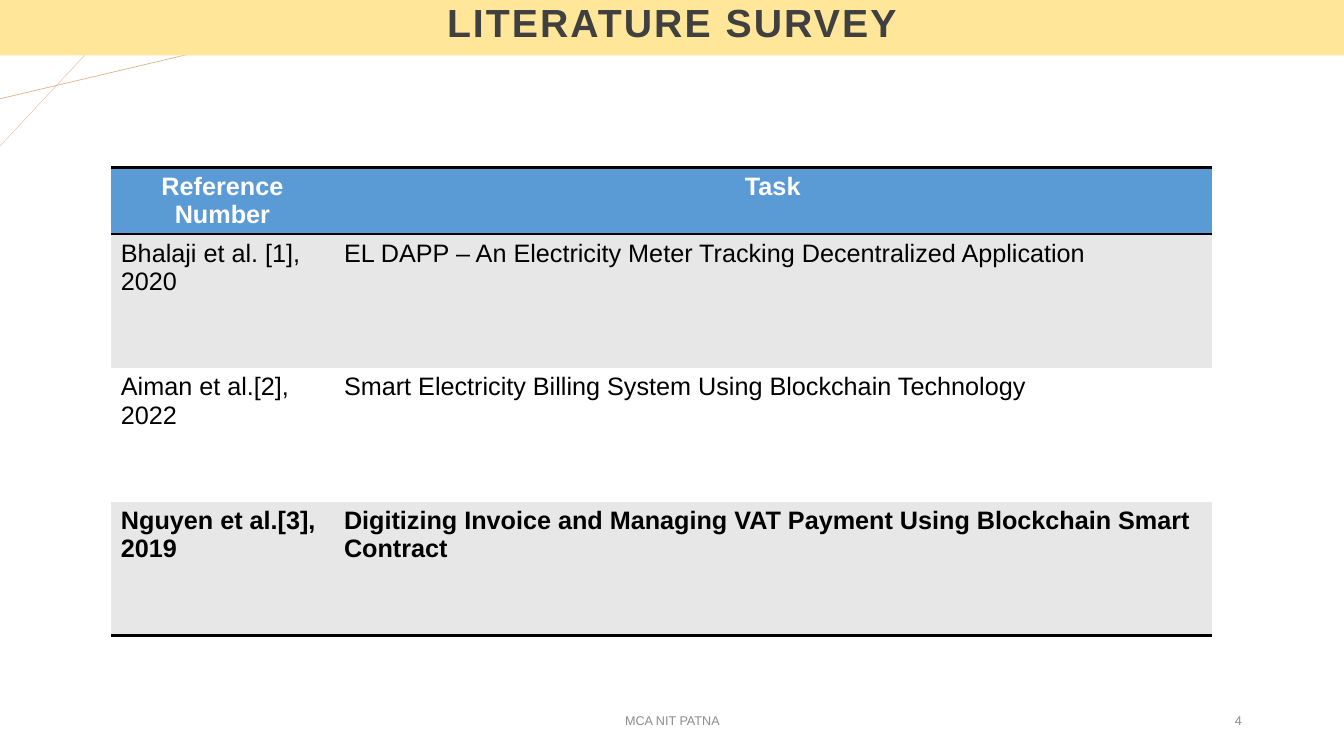
from lxml.etree import SubElement
from pptx import Presentation
from pptx.dml.color import RGBColor
from pptx.enum.shapes import MSO_CONNECTOR as CONN, MSO_SHAPE as SHAPE
from pptx.enum.text import MSO_ANCHOR as ANCHOR, PP_ALIGN as ALIGN
from pptx.oxml import parse_xml
from pptx.oxml.ns import nsdecls, qn
from pptx.util import Inches, Pt

COLORS = {"band": "FFE699", "title": "404040", "accent": "E2B18D",
          "head": "5B9BD5", "stripe": "E7E7E7", "white": "FFFFFF",
          "black": "000000", "muted": "8C8C8C"}
FONT = "Arial"
PLAIN_TABLE = "{2D5ABB26-0587-4C30-8999-92F81FD0307C}"


def rgb(name):
    return RGBColor.from_string(COLORS[name])


def write(tf, text, size=18, color="black", bold=False, align=ALIGN.LEFT,
          anchor=ANCHOR.TOP, spacing=None, track=None):
    """Fill a text frame, one paragraph per line of text."""
    tf.word_wrap = True
    tf.vertical_anchor = anchor
    for i, line in enumerate(text.split("\n")):
        p = tf.add_paragraph() if i else tf.paragraphs[0]
        p.alignment = align
        if spacing:
            p.line_spacing = spacing
        r = p.add_run()
        r.text = line
        r.font.name, r.font.size, r.font.bold = FONT, Pt(size), bold
        r.font.color.rgb = rgb(color)
        if track:
            r.font._element.set("spc", str(int(track * 100)))


class SlideBuilder:
    """Places elements by percentages of the slide's width and height."""

    def __init__(self, prs):
        self.w, self.h = prs.slide_width, prs.slide_height
        self.s = prs.slides.add_slide(prs.slide_layouts[6])

    def x(self, share):
        return int(self.w * share / 100)

    def y(self, share):
        return int(self.h * share / 100)

    def box(self, left, top, width, height):
        return self.x(left), self.y(top), self.x(width), self.y(height)

    def line(self, x1, y1, x2, y2, weight):
        c = self.s.shapes.add_connector(
            CONN.STRAIGHT, self.x(x1), self.y(y1), self.x(x2), self.y(y2))
        c.line.color.rgb = rgb("accent")
        c.line.width = Pt(weight)
        SubElement(c._element.spPr, qn("a:effectLst"))

    def band(self, area, text, fill, **fmt):
        sp = self.s.shapes.add_shape(SHAPE.RECTANGLE, *self.box(*area))
        sp.shadow.inherit = False
        sp.fill.solid()
        sp.fill.fore_color.rgb = rgb(fill)
        sp.line.fill.background()
        write(sp.text_frame, text, **fmt)

    def text(self, area, text, **fmt):
        write(self.s.shapes.add_textbox(*self.box(*area)).text_frame, text, **fmt)

    def rule(self, cell, side, weight=2):
        cell._tc.get_or_add_tcPr().insert(0, parse_xml(
            f'<a:ln{side} {nsdecls("a")} w="{Pt(weight)}"><a:solidFill>'
            f'<a:srgbClr val="{COLORS["black"]}"/></a:solidFill></a:ln{side}>'))

    def table(self, left, top, cols, heights, rows):
        area = self.box(left, top, sum(cols), sum(heights))
        frame = self.s.shapes.add_table(len(rows), len(cols), *area)
        tbl = frame.table
        tbl.horz_banding = False
        tbl._tbl.tblPr.find(qn("a:tableStyleId")).text = PLAIN_TABLE
        for col, width in zip(tbl.columns, cols):
            col.width = self.x(width)
        last = len(rows) - 1
        for i, (row, height) in enumerate(zip(rows, heights)):
            tbl.rows[i].height = self.y(height)
            head = i == 0
            fill = "head" if head else "stripe" if i % 2 else "white"
            for cell, text in zip(tbl.rows[i].cells, row):
                cell.fill.solid()
                cell.fill.fore_color.rgb = rgb(fill)
                write(cell.text_frame, text, bold=i in (0, last),
                      color="white" if head else "black",
                      align=ALIGN.CENTER if head else ALIGN.LEFT)
                if i in (0, last):
                    self.rule(cell, "B")
                if head:
                    self.rule(cell, "T")


def main():
    prs = Presentation()
    prs.slide_width, prs.slide_height = Inches(13.33), Inches(7.5)
    b = SlideBuilder(prs)

    # Corner lines
    b.line(10.13, 0, 0, 19.33, 0.25)
    b.line(31.13, 0, 0, 13.07, 0.5)

    # Title band
    b.band((0, -0.67, 100, 8), "LITERATURE SURVEY", "band", size=28,
           color="title", bold=True, align=ALIGN.CENTER,
           anchor=ANCHOR.MIDDLE, spacing=0.9, track=1.5)

    # Survey table
    b.table(8.25, 22.13, [16.6, 65.3], [8.85] + [17.7] * 3, [
        ("Reference Number", "Task"),
        ("Bhalaji et al. [1],\n2020",
         "EL DAPP – An Electricity Meter Tracking Decentralized Application"),
        ("Aiman et al.[2],\n2022",
         "Smart Electricity Billing System Using Blockchain Technology"),
        ("Nguyen et al.[3],\n2019",
         "Digitizing Invoice and Managing VAT Payment Using Blockchain "
         "Smart Contract"),
    ])

    # Footer and slide number
    small = dict(size=9, color="muted", anchor=ANCHOR.MIDDLE)
    b.text((33.15, 92.67, 33.75, 5.33), "MCA NIT PATNA",
           align=ALIGN.CENTER, **small)
    b.text((70.65, 92.67, 22.5, 5.33), "4", align=ALIGN.RIGHT, **small)

    prs.save("out.pptx")


if __name__ == "__main__":
    main()
